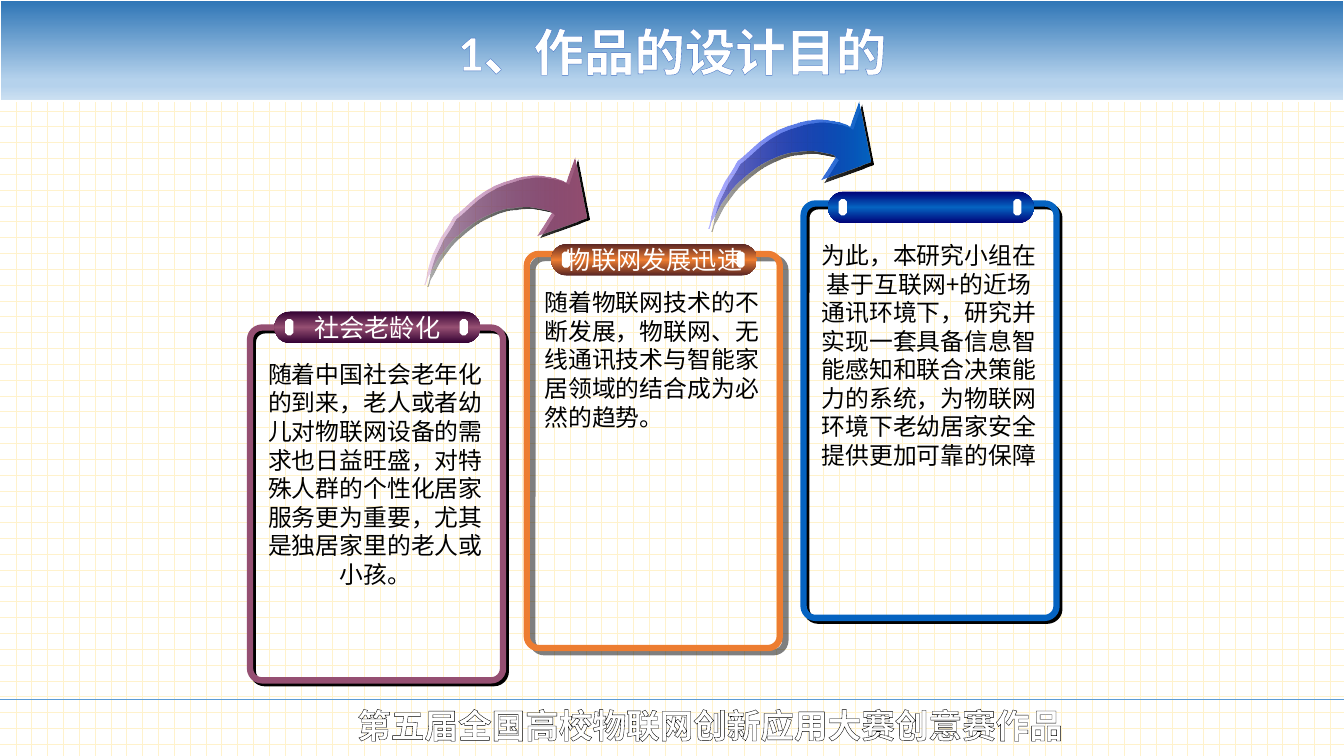
from lxml import etree
from pptx import Presentation, util as u
from pptx.dml.color import RGBColor
from pptx.enum import dml, shapes, text
from pptx.oxml import ns

THEME = {
    "white": "FFFFFF", "black": "000000", "grid": "FFF2CC", "rule": "5B9BD5",
    "edge": "4472C4", "plum": "954F72", "orange": "ED7D31", "blue": "0563C1",
    "banner": [(0, "2E75B6", 100), (79, "B5D2EC", 100),
               (84, "B5D2EC", 100), (100, "CEE1F2", 100)],
    "latin": "Calibri", "label": "Arial", "han": "Noto Sans CJK SC",
    "title": 36, "foot": 24, "head": 18, "body": 17, "lead": 20.4,
}
T = THEME
rgb = RGBColor.from_string
kind = shapes.MSO_SHAPE


def style(shape, fill=None, line=None, width=1, turn=270, shade=None):
    """fill: colour or list of (position, colour, opacity); shade: (opacity, distance, angle)."""
    if isinstance(fill, list):
        shape.fill.gradient()
        shape.fill.gradient_angle = turn
        stops = shape._element.spPr.find(".//" + ns.qn("a:gsLst"))
        for old in list(stops):
            stops.remove(old)
        for pos, tone, alpha in fill:
            stop = etree.SubElement(stops, ns.qn("a:gs"), pos=str(pos * 1000))
            tint = etree.SubElement(stop, ns.qn("a:srgbClr"), val=tone)
            etree.SubElement(tint, ns.qn("a:alpha"), val=str(alpha * 1000))
    elif fill:
        shape.fill.solid()
        shape.fill.fore_color.rgb = rgb(fill)
    else:
        shape.fill.background()
    if line:
        shape.line.color.rgb = rgb(line)
        shape.line.width = u.Pt(width)
    else:
        shape.line.fill.background()
    shape.shadow.inherit = False
    if shade:
        alpha, dist, angle = shade
        effect = shape._element.spPr.find(ns.qn("a:effectLst"))
        cast = etree.SubElement(effect, ns.qn("a:outerShdw"), blurRad="0",
                                dist=str(u.Pt(dist)), dir=str(angle * 60000),
                                algn="ctr", rotWithShape="0")
        tint = etree.SubElement(cast, ns.qn("a:srgbClr"), val=T["black"])
        etree.SubElement(tint, ns.qn("a:alpha"), val=str(alpha * 1000))


def write(shape, words, size, font, tone, bold=False, left=False, wrap=True,
          middle=True, lead=None, out=None):
    frame = shape.text_frame
    frame.word_wrap = wrap
    frame.vertical_anchor = text.MSO_ANCHOR.MIDDLE if middle else text.MSO_ANCHOR.TOP
    para = frame.paragraphs[0]
    para.alignment = text.PP_ALIGN.LEFT if left else text.PP_ALIGN.CENTER
    if lead:
        para.line_spacing = u.Pt(lead)
    run = para.add_run()
    run.text = words
    run.font.size = u.Pt(size)
    run.font.bold = bold
    run.font.name = font
    run.font.color.rgb = rgb(tone)
    props = run._r.get_or_add_rPr()
    east = etree.Element(ns.qn("a:ea"), typeface=T["han"])
    props.find(ns.qn("a:latin")).addnext(east)
    if out:
        edge, width = out
        line = etree.Element(ns.qn("a:ln"), w=str(u.Pt(width)))
        solid = etree.SubElement(line, ns.qn("a:solidFill"))
        etree.SubElement(solid, ns.qn("a:srgbClr"), val=edge)
        props.insert(0, line)


deck = Presentation()
deck.slide_width, deck.slide_height = u.Pt(960), u.Pt(540)
slide = deck.slides.add_slide(deck.slide_layouts[6])
parts = slide.shapes

# Dotted grid background
back = slide.background.fill
back.patterned()
back.pattern = dml.MSO_PATTERN.DOTTED_GRID
back.fore_color.rgb = rgb(T["grid"])
back.back_color.rgb = rgb(T["white"])

# Title banner
banner = parts.add_shape(kind.RECTANGLE, 0, 0, u.Pt(960), u.Pt(72.5))
style(banner, T["banner"], T["white"], 1.5)
write(banner, "1、作品的设计目的", T["title"], T["latin"], T["white"],
      bold=True, out=(T["edge"], 0.8))

# Footer rule and caption
rule = parts.add_connector(shapes.MSO_CONNECTOR.STRAIGHT, 0, u.Pt(499.7),
                           u.Pt(960), u.Pt(499.7))
rule.line.color.rgb = rgb(T["rule"])
rule.line.width = u.Pt(0.5)
etree.SubElement(rule._element.spPr, ns.qn("a:effectLst"))
foot = parts.add_textbox(u.Pt(184.3), u.Pt(499.7), u.Pt(645.8), u.Pt(36))
write(foot, "第五届全国高校物联网创新应用大赛创意赛作品", T["foot"], T["han"],
      T["white"], bold=True, out=(T["black"], 1))

# Curved arrows: one outline on a grid of 0.72 pt, tail first
CURVE = [
    (0, 126), (1, 126), (2, 123), (3, 119), (6, 114), (9, 108), (13, 101),
    (18, 94), (24, 86), (31, 79), (39, 72), (48, 65), (59, 59), (70, 54),
    (80, 51), (89, 50), (97, 49), (105, 49), (111, 50), (116, 51), (121, 52),
    (124, 53), (126, 55), (111, 78), (161, 60), (149, 0), (140, 25), (137, 23),
    (131, 21), (126, 20), (120, 19), (113, 18), (106, 18), (98, 19), (89, 21),
    (79, 24), (69, 28), (59, 34), (48, 42), (38, 51), (29, 59), (23, 69),
    (17, 78), (12, 88), (8, 96), (5, 105), (3, 112), (2, 118), (1, 122),
]
for x, y, pale, tone in [(303.1, 112.3, "B66CB6", T["plum"]),
                         (506.2, 72.7, "1717FF", T["blue"])]:
    pen = parts.build_freeform(*CURVE[0], scale=u.Pt(0.72))
    pen.add_line_segments(CURVE[1:], close=True)
    arrow = pen.convert_to_shape(u.Pt(x), u.Pt(y))
    style(arrow, [(0, pale, 32), (100, tone, 100)], turn=0, shade=(100, 2.8, 45))

# Cards: top, height, pill top, body top, colours, shadow, body side, texts
HARD, SOFT = (100, 2.8, 45), (50, 5, 37)
CARDS = [
    (234, 252, 222.5, 253.4, T["plum"], "320032", HARD, False, "社会老龄化",
     "随着中国社会老年化的到来，老人或者幼儿对物联网设备的需求也日益旺盛，"
     "对特殊人群的个性化居家服务更为重要，尤其是独居家里的老人或小孩。"),
    (181.4, 281.5, 174.2, 202.3, T["orange"], "592524", SOFT, True, "物联网发展迅速",
     "随着物联网技术的不断发展，物联网、无线通讯技术与智能家居领域的结合成为必然的趋势。"),
    (145.4, 296, 136.8, 168.5, T["blue"], "000076", HARD, False, "",
     "为此，本研究小组在基于互联网+的近场通讯环境下，研究并实现一套具备信息"
     "智能感知和联合决策能力的系统，为物联网环境下老幼居家安全提供更加可靠的保障"),
]
for i, (top, high, cap, base, tone, dark, shade, left, head, body) in enumerate(CARDS):
    x = 178.6 + 197.7 * i
    card = parts.add_shape(kind.ROUNDED_RECTANGLE, u.Pt(x), u.Pt(top),
                           u.Pt(180.7), u.Pt(high))
    card.adjustments[0] = 0.047
    style(card, line=tone, width=4.5, shade=shade)

    pill = parts.add_shape(kind.ROUNDED_RECTANGLE, u.Pt(x + 17.5), u.Pt(cap),
                           u.Pt(146.9), u.Pt(22.7))
    pill.adjustments[0] = 0.5
    style(pill, [(0, dark, 100), (50, tone, 100), (100, dark, 100)])
    if head:
        write(pill, head, T["head"], T["label"], T["white"], wrap=False)

    for shift in (25.1, 149.8):
        stud = parts.add_shape(kind.OCTAGON, u.Pt(x + shift), u.Pt(cap + 5.5),
                               u.Pt(5.8), u.Pt(11.5))
        stud.adjustments[0] = 0.293
        style(stud, T["white"])

    note = parts.add_textbox(u.Pt(x + 5.5), u.Pt(base), u.Pt(168), u.Pt(172))
    write(note, body, T["body"], T["han"], T["black"], left=left,
          middle=False, lead=T["lead"])

deck.save("out.pptx")
